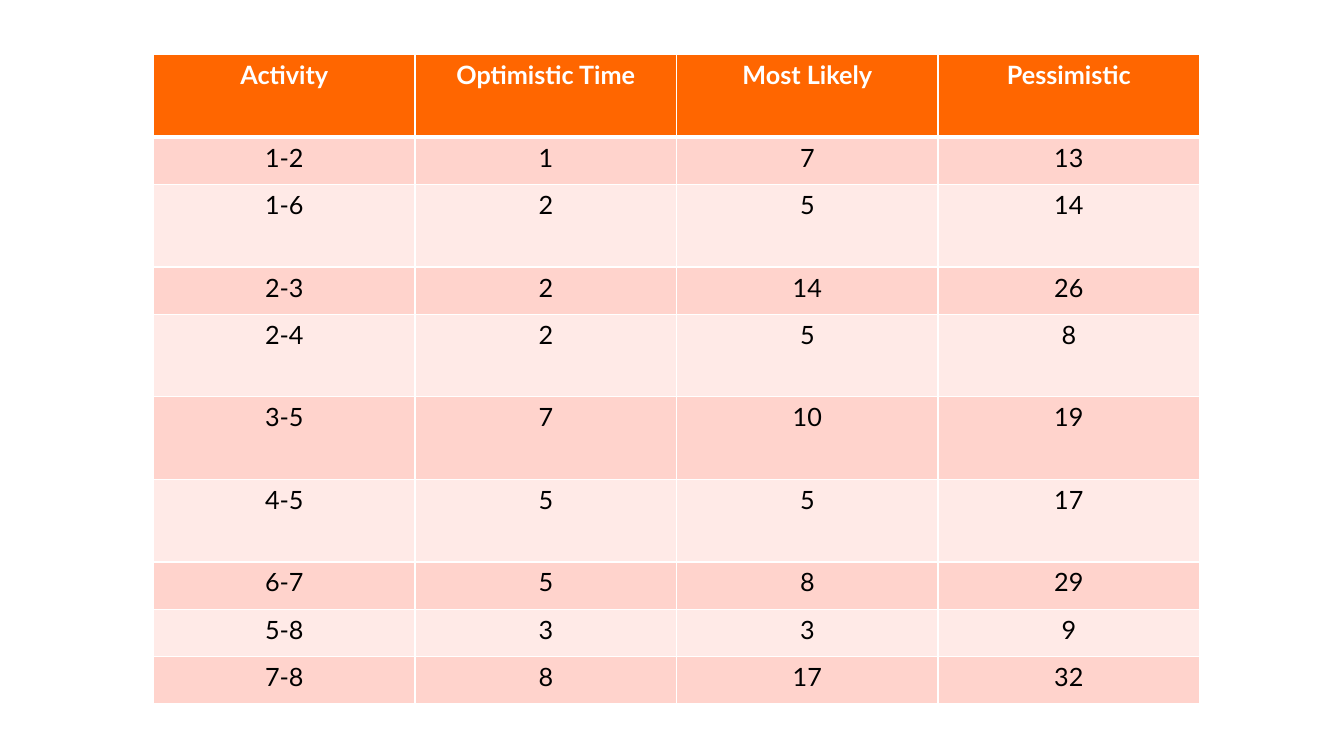
from dataclasses import dataclass

from lxml import etree
from pptx import Presentation
from pptx import util as u
from pptx.dml.color import RGBColor
from pptx.enum import text
from pptx.oxml import ns

FONT = "Lato"
WHITE, BLACK, ORANGE = "FFFFFF", "000000", "FF6600"
BANDS = ("FFD3CC", "FFEAE7")
SHORT, TALL = u.Cm(1.19), u.Cm(2.08)
COLUMN_WIDTH = u.Cm(6.59)
THIN, THICK = u.Pt(1), u.Pt(3)


@dataclass
class Row:
    values: tuple[str, ...]
    height: int = SHORT


HEADER = Row(("Activity", "Optimistic Time", "Most Likely", "Pessimistic"), TALL)
ACTIVITIES = [
    Row(("1-2", "1", "7", "13")),
    Row(("1-6", "2", "5", "14"), TALL),
    Row(("2-3", "2", "14", "26")),
    Row(("2-4", "2", "5", "8"), TALL),
    Row(("3-5", "7", "10", "19"), TALL),
    Row(("4-5", "5", "5", "17"), TALL),
    Row(("6-7", "5", "8", "29")),
    Row(("5-8", "3", "3", "9")),
    Row(("7-8", "8", "17", "32")),
]


def rgb(color: str) -> RGBColor:
    return RGBColor.from_string(color)


def set_borders(cell, top: int, bottom: int) -> None:
    """Draw white borders; the schema wants them ahead of the cell's fill."""
    tc_pr = cell._tc.get_or_add_tcPr()
    widths = {"lnL": THIN, "lnR": THIN, "lnT": top, "lnB": bottom}
    for i, (side, width) in enumerate(widths.items()):
        ln = etree.Element(ns.qn(f"a:{side}"), w=str(int(width)))
        fill = etree.SubElement(ln, ns.qn("a:solidFill"))
        etree.SubElement(fill, ns.qn("a:srgbClr"), val=WHITE)
        tc_pr.insert(i, ln)


def fill_cell(cell, value: str, fill: str, color: str, bold: bool) -> None:
    cell.fill.solid()
    cell.fill.fore_color.rgb = rgb(fill)
    p = cell.text_frame.paragraphs[0]
    p.alignment = text.PP_ALIGN.CENTER
    r = p.add_run()
    r.text = value
    r.font.name = FONT
    r.font.size = u.Pt(18)
    r.font.bold = bold
    r.font.color.rgb = rgb(color)


def add_time_table(s, rows: list[Row]) -> None:
    columns = len(HEADER.values)
    frame = s.shapes.add_table(
        len(rows), columns, u.Cm(3.87), u.Cm(1.38),
        COLUMN_WIDTH * columns, sum(row.height for row in rows))
    table = frame.table
    for column in table.columns:
        column.width = COLUMN_WIDTH
    for i, row in enumerate(rows):
        is_header = i == 0
        table.rows[i].height = row.height
        fill = ORANGE if is_header else BANDS[(i - 1) % 2]
        for j, value in enumerate(row.values):
            cell = table.cell(i, j)
            fill_cell(cell, value, fill, WHITE if is_header else BLACK, is_header)
            set_borders(cell, THICK if i == 1 else THIN, THICK if is_header else THIN)


def main() -> None:
    prs = Presentation()
    prs.slide_width, prs.slide_height = u.Cm(33.87), u.Cm(19.05)
    s = prs.slides.add_slide(prs.slide_layouts[6])
    add_time_table(s, [HEADER, *ACTIVITIES])
    prs.save("out.pptx")


if __name__ == "__main__":
    main()
